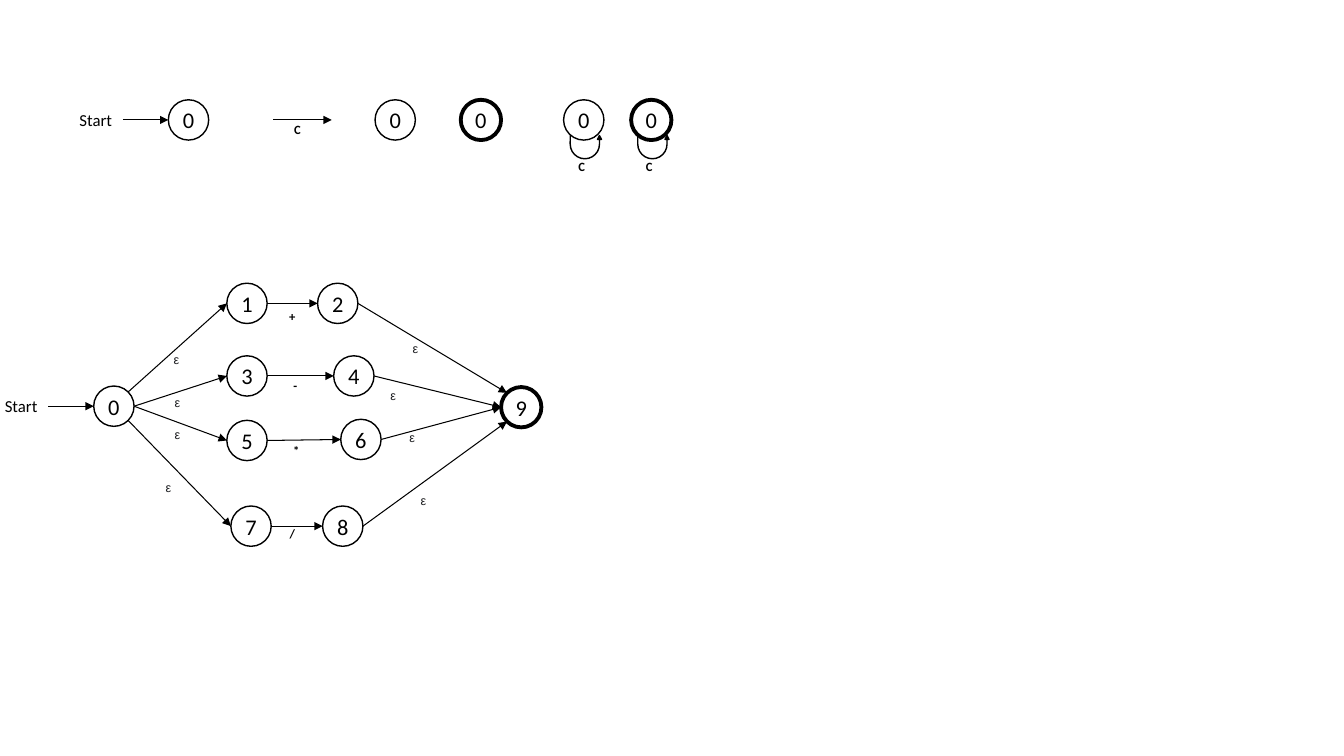
"""Draw the state diagram of a small automaton with its legend of symbols."""
from dataclasses import dataclass

from lxml import etree
from pptx import Presentation
from pptx import util as u
from pptx.dml.color import RGBColor
from pptx.enum import shapes, text
from pptx.oxml import ns


@dataclass(frozen=True)
class Theme:
    """Hold the colours, fonts, type sizes and line widths."""
    ink: str = "000000"
    soft: str = "202124"
    font: str = "Calibri"
    greek: str = "Arial"
    node: float = 16
    start: float = 12
    label: float = 9
    edge: float = 0.75
    ring: float = 1
    final: float = 2.75


class Board:
    """Draw on one slide with a grid of ten cells to the inch."""

    def __init__(self, slide, theme):
        """Keep the slide and the theme."""
        self.slide, self.theme = slide, theme

    def cell(self, *sizes):
        """Turn grid cells into lengths."""
        return [u.Inches(size / 10) for size in sizes]

    def box(self, x, y, w, h):
        """Return the frame of a box centred on a grid point."""
        return self.cell(x - w / 2, y - h / 2, w, h)

    def letter(self, shape, words, size, font=None, color=None, bold=False):
        """Set centred text in a shape."""
        frame = shape.text_frame
        frame.margin_left = frame.margin_right = 0
        frame.margin_top = frame.margin_bottom = 0
        frame.word_wrap = True
        frame.vertical_anchor = text.MSO_ANCHOR.MIDDLE
        frame.text = words
        line = frame.paragraphs[0]
        line.alignment = text.PP_ALIGN.CENTER
        face = line.runs[0].font
        face.size, face.bold = u.Pt(size), bold
        face.name = font or self.theme.font
        face.color.rgb = RGBColor.from_string(color or self.theme.ink)

    def stroke(self, shape, width):
        """Set the line of a shape or connector."""
        shape.line.width = u.Pt(width)
        shape.line.color.rgb = RGBColor.from_string(self.theme.ink)

    def node(self, name, spot, final=False):
        """Draw a state as a ring with its number."""
        ring = self.slide.shapes.add_shape(
            shapes.MSO_SHAPE.OVAL, *self.box(*spot, 2 * RADIUS, 2 * RADIUS))
        ring.shadow.inherit = False
        ring.fill.background()
        self.stroke(ring, self.theme.final if final else self.theme.ring)
        self.letter(ring, name, self.theme.node)

    def arrow(self, tail, head):
        """Draw a straight arrow between two grid points."""
        line = self.slide.shapes.add_connector(
            shapes.MSO_CONNECTOR.STRAIGHT, *self.cell(*tail, *head))
        self.stroke(line, self.theme.edge)
        props = line._element.spPr
        tip = etree.SubElement(props.find(ns.qn("a:ln")), ns.qn("a:tailEnd"))
        tip.set("type", "triangle")
        etree.SubElement(props, ns.qn("a:effectLst"))

    def label(self, words, spot):
        """Set the symbol of a transition."""
        note = self.slide.shapes.add_textbox(*self.box(*spot, 1.6, 2.5))
        if words == EPS:
            self.letter(note, words, self.theme.label, self.theme.greek, self.theme.soft)
        else:
            self.letter(note, words, self.theme.label, bold=True)

    def start(self, spot):
        """Draw the start word and its arrow into a state."""
        x, y = spot
        note = self.slide.shapes.add_textbox(*self.box(x - 9.2, y, 5.3, 3))
        self.letter(note, "Start", self.theme.start)
        self.arrow((x - 6.5, y), rim(spot, "W"))

    def loop(self, words, spot):
        """Draw a transition from a state back to itself."""
        x, y = spot
        bend = self.slide.shapes.add_shape(
            shapes.MSO_SHAPE.U_TURN_ARROW, *self.box(x + 0.2, y + 2.7, 3.1, 2.3))
        bend.shadow.inherit = False
        for rank, size in enumerate((0, 0.085, 0.164, 0.717, 1)):
            bend.adjustments[rank] = size
        bend.rotation = 180
        bend._element.spPr.find(ns.qn("a:xfrm")).set("flipH", "1")
        bend.fill.solid()
        bend.fill.fore_color.rgb = RGBColor.from_string(self.theme.ink)
        self.stroke(bend, self.theme.ring)
        self.label(words, (x - 0.2, y + 4.6))


RADIUS = 2
EPS = "ε"
SIDES = {"W": (-1, 0), "E": (1, 0), "NE": (0.71, -0.71), "SE": (0.71, 0.71),
         "NW": (-0.71, -0.71), "SW": (-0.71, 0.71)}


def rim(spot, side):
    """Return the point on a side of a state's ring."""
    return tuple(at + RADIUS * step for at, step in zip(spot, SIDES[side]))


STATES = {"0": (11.3, 40.3), "1": (24.5, 30.1), "2": (33.5, 30.1),
          "3": (24.5, 37.3), "4": (35.1, 37.3), "5": (24.5, 43.7),
          "6": (35.8, 43.6), "7": (24.9, 52.2), "8": (34, 52.2),
          "9": (51.7, 40.4)}
EDGES = [("0", "NE", "1", "W", EPS, (17.5, 35.7)),
         ("0", "E", "3", "W", EPS, (17.6, 39.9)),
         ("0", "E", "5", "W", EPS, (17.6, 43.1)),
         ("0", "SE", "7", "W", EPS, (16.7, 48.4)),
         ("1", "E", "2", "W", "+", (29, 31.4)),
         ("3", "E", "4", "W", "-", (29.3, 38.2)),
         ("5", "E", "6", "W", "*", (29.4, 44.7)),
         ("7", "E", "8", "W", "/", (29, 52.9)),
         ("2", "E", "9", "NW", EPS, (41.2, 34.6)),
         ("4", "E", "9", "W", EPS, (39, 39.2)),
         ("6", "E", "9", "W", EPS, (40.9, 43.4)),
         ("8", "E", "9", "SW", EPS, (42, 49.6))]
TOP = 11.9
LEGEND = [(18.7, False), (39.2, False), (47.7, True), (57.9, False), (64.6, True)]

deck = Presentation()
deck.slide_width, deck.slide_height = u.Inches(13.33), u.Inches(7.5)
board = Board(deck.slides.add_slide(deck.slide_layouts[6]), Theme())

for x, final in LEGEND:
    board.node("0", (x, TOP), final)
board.start((LEGEND[0][0], TOP))
board.arrow((27.1, TOP), (32.9, TOP))
board.label("C", (29.5, 12.8))
for x, final in LEGEND[-2:]:
    board.loop("C", (x, TOP))

for name, spot in STATES.items():
    board.node(name, spot, name == "9")
board.start(STATES["0"])
for tail, out, head, into, words, spot in EDGES:
    board.arrow(rim(STATES[tail], out), rim(STATES[head], into))
    board.label(words, spot)

deck.save("out.pptx")
